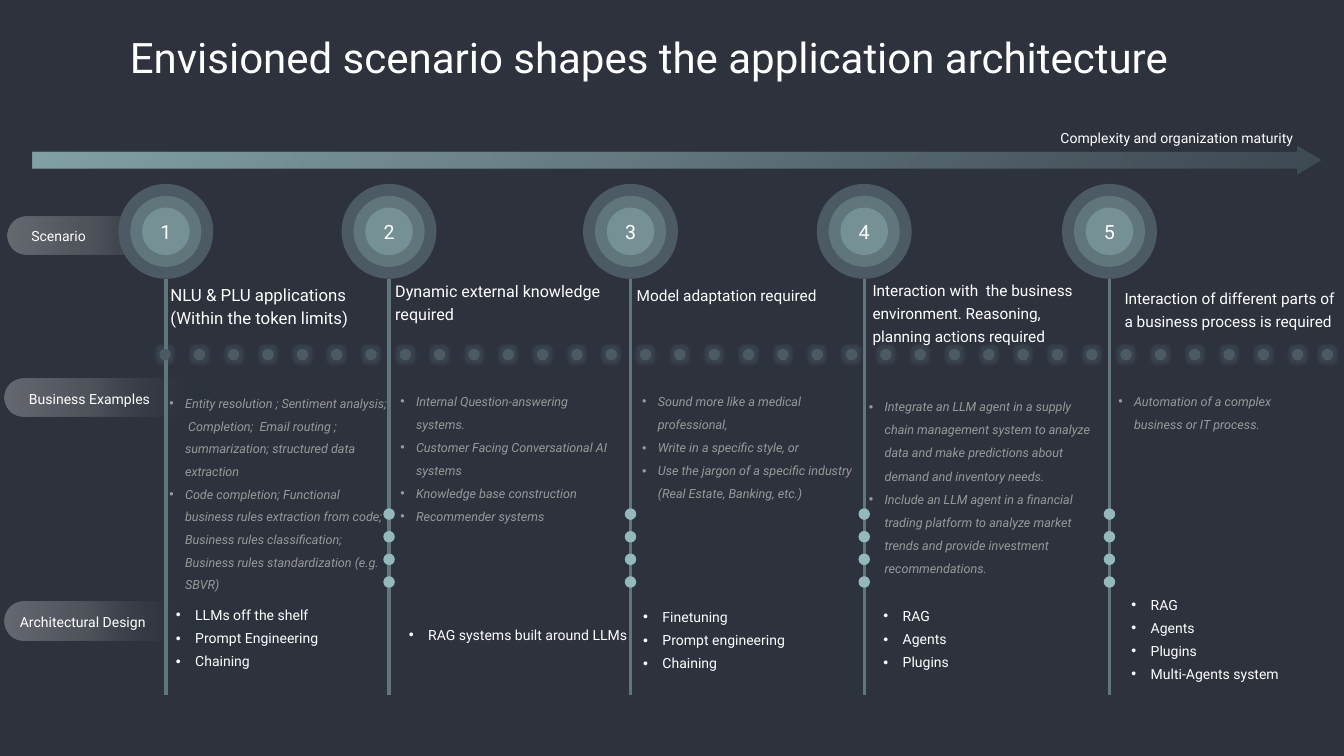
from lxml import etree
from pptx import Presentation
from pptx.dml.color import RGBColor as RGB
from pptx.enum.shapes import MSO_CONNECTOR, MSO_SHAPE as SHAPE
from pptx.enum.text import MSO_ANCHOR, PP_ALIGN
from pptx.oxml import parse_xml
from pptx.oxml.ns import nsdecls, qn
from pptx.util import Cm, Pt

COLORS = {
    "background": "2D323D", "white": "FFFFFF", "grey": "999999", "silver": "E2E2E2",
    "ring": "4C5B63", "stem": "60767B", "core": "759195", "bead": "94B9BA", "steel": "708A8F",
}
FONT = "Roboto"
# Gradient stops: position %, colour, opacity %
PILL_STOPS = [(0, "silver", 31), (44, "grey", 29), (94, "background", 5)]
ARROW_STOPS = [(0, "bead", 83), (47, "steel", 81), (100, "ring", 57)]

# Row label: pill left, top, width; text left, top, width
ROWS = [
    ("Architectural Design", (0.25, 30.33, 9.98), (0.84, 30.45, 7.32)),
    ("Business Examples", (0.25, 19.08, 10.39), (1.3, 19.23, 7.04)),
    ("Scenario", (0.38, 10.9, 10.26), (1.42, 11.02, 5)),
]
# Each scenario: stem centre, then heading, examples and design as (box, lines)
SCENARIOS = [
    dict(x=8.36, size=24,
         heading=((8.43, 14.05, 12.37, 2.64),
                  ["NLU & PLU applications", "(Within the token limits)"]),
         examples=((8.38, 19.38, 11.33, 10.67), [
             "Entity resolution ; Sentiment analysis;  Completion;  Email routing ; "
             "summarization; structured data extraction",
             "Code completion; Functional business rules extraction from code; Business rules "
             "classification; Business rules standardization (e.g. SBVR)"]),
         design=((8.71, 30.1, 11.58, 3.81),
                 ["LLMs off the shelf", "Prompt Engineering", "Chaining"])),
    dict(x=19.61, size=23,
         heading=((19.76, 13.84, 12.57, 2.64), ["Dynamic external knowledge required"]),
         examples=((20.02, 19.25, 11.28, 7.34), [
             "Internal Question-answering systems.", "Customer Facing Conversational AI systems",
             "Knowledge base construction", "Recommender systems"]),
         design=((20.45, 31.09, 11.58, 1.47), ["RAG systems built around LLMs"])),
    dict(x=31.78, size=22,
         heading=((31.93, 14.05, 12.17, 1.47), ["Model adaptation required"]),
         examples=((32.21, 19.28, 11.28, 6.17), [
             "Sound more like a medical professional,", "Write in a specific style, or",
             "Use the jargon of a specific industry (Real Estate, Banking, etc.)"]),
         design=((32.26, 30.2, 11.58, 3.81), ["Finetuning", "Prompt engineering", "Chaining"])),
    dict(x=43.56, size=22,
         heading=((43.82, 13.77, 11.76, 3.81), [
             "Interaction with  the business environment. Reasoning, planning actions required"]),
         examples=((43.64, 19.53, 11.99, 9.68), [
             "Integrate an LLM agent in a supply chain management system to analyze data and make "
             "predictions about demand and inventory needs.",
             "Include an LLM agent in a financial trading platform to analyze market trends and "
             "provide investment recommendations."]),
         design=((44.37, 30.15, 11.58, 3.81), ["RAG", "Agents", "Plugins"])),
    dict(x=55.92, size=22,
         heading=((56.52, 14.17, 10.95, 2.64),
                  ["Interaction of different parts of a business process is required"]),
         examples=((56.21, 19.28, 10.49, 2.64),
                   ["Automation of a complex business or IT process."]),
         design=((56.87, 29.57, 7.98, 4.98),
                 ["RAG", "Agents", "Plugins", "Multi-Agents system"])),
]
RING_Y = 11.66
RINGS = [(4.78, "ring"), (3.58, "stem"), (2.39, "core")]
DOT = 0.58


def rgb(name):
    return RGB.from_string(COLORS[name])


class Deck:
    """Holds the text style and the slide being drawn; boxes are (left, top, width, height) in cm."""

    def __init__(self, slide, font=FONT):
        self.slide, self.shapes, self.font = slide, slide.shapes, font

    def shape(self, kind, box, color=None, adjustments=()):
        shape = self.shapes.add_shape(kind, *map(Cm, box))
        shape.shadow.inherit = False
        shape.line.fill.background()
        for index, value in enumerate(adjustments):
            shape.adjustments[index] = value
        if color:
            shape.fill.solid()
            shape.fill.fore_color.rgb = rgb(color)
        return shape

    def gradient(self, kind, box, adjustments, stops, angle=0):
        shape = self.shape(kind, box, adjustments=adjustments)
        stop_xml = "".join(
            f'<a:gs pos="{pos * 1000}"><a:srgbClr val="{COLORS[color]}">'
            f'<a:alpha val="{alpha * 1000}"/></a:srgbClr></a:gs>' for pos, color, alpha in stops)
        shape._element.spPr.find(qn("a:prstGeom")).addnext(parse_xml(
            f'<a:gradFill {nsdecls("a")} rotWithShape="1"><a:gsLst>{stop_xml}</a:gsLst>'
            f'<a:lin ang="{angle * 60000}" scaled="0"/></a:gradFill>'))

    def disc(self, x, y, diameter, color):
        """Circle given by its centre."""
        return self.shape(SHAPE.OVAL, (x - diameter / 2, y - diameter / 2, diameter, diameter), color)

    def glow(self, shape):
        effects = shape._element.spPr.find(qn("a:effectLst"))
        effects.append(parse_xml(
            f'<a:glow {nsdecls("a")} rad="{Cm(0.35)}"><a:srgbClr val="{COLORS["stem"]}">'
            f'<a:alpha val="25000"/></a:srgbClr></a:glow>'))

    def stem(self, x, bottom, top):
        line = self.shapes.add_connector(MSO_CONNECTOR.STRAIGHT, Cm(x), Cm(bottom), Cm(x), Cm(top))
        line.line.color.rgb = rgb("stem")
        line.line.width = Pt(5)
        etree.SubElement(line._element.spPr, qn("a:effectLst"))

    def fill_text(self, frame, lines, size, color="white", italic=False, spacing=None,
                  align=None, indent=0, margin=0.16):
        """Fill a text frame with paragraphs, bulleted when an indent is given."""
        frame.word_wrap = True
        frame.vertical_anchor = MSO_ANCHOR.MIDDLE
        frame.margin_left = frame.margin_right = frame.margin_top = frame.margin_bottom = Cm(margin)
        frame.text = "\n".join(lines)
        for paragraph in frame.paragraphs:
            if indent:
                props = paragraph._p.get_or_add_pPr()
                props.set("marL", str(Cm(indent)))
                props.set("indent", str(-Cm(indent)))
                etree.SubElement(props, qn("a:buFont")).set("typeface", "Arial")
                etree.SubElement(props, qn("a:buChar")).set("char", "•")
            paragraph.alignment = align
            paragraph.line_spacing = spacing
            for run in paragraph.runs:
                run.font.name, run.font.size, run.font.italic = self.font, Pt(size), italic
                run.font.color.rgb = rgb(color)

    def text(self, box, lines, size, spacing=Pt(33), **style):
        frame = self.shapes.add_textbox(*map(Cm, box)).text_frame
        self.fill_text(frame, lines, size, spacing=spacing, **style)

    def badge(self, x, number):
        for diameter, color in RINGS:
            core = self.disc(x, RING_Y, diameter, color)
        self.fill_text(core.text_frame, [str(number)], 28, align=PP_ALIGN.CENTER, margin=0)


def main():
    prs = Presentation()
    prs.slide_width, prs.slide_height = Cm(67.74), Cm(38.1)
    slide = prs.slides.add_slide(prs.slide_layouts[6])
    slide.background.fill.solid()
    slide.background.fill.fore_color.rgb = rgb("background")
    deck = Deck(slide)

    for _, pill, _ in ROWS:
        deck.gradient(SHAPE.ROUNDED_RECTANGLE, (*pill, 1.93), [0.5], PILL_STOPS)
    for scenario in SCENARIOS:
        deck.stem(scenario["x"], 35.03, 14.04)
    for number, scenario in enumerate(SCENARIOS, 1):
        deck.badge(scenario["x"], number)
    for step in range(35):
        deck.glow(deck.disc(min(8.32 + 1.73 * step, 66.91), 17.87, DOT, "ring"))
    for scenario in SCENARIOS[1:]:
        for step in range(4):
            deck.disc(scenario["x"], 25.91 + 1.14 * step, DOT, "bead")

    deck.text((0.46, 1.73, 64.52, 2.54), ["Envisioned scenario shapes the application architecture"],
              60, spacing=Pt(63), align=PP_ALIGN.CENTER)
    for label, _, place in ROWS:
        deck.text((*place, 1.47), [label], 20)
    for number, scenario in enumerate(SCENARIOS, 1):
        deck.text(*scenario["heading"], scenario["size"])
        deck.text(*scenario["examples"], 18, spacing=1.5 if number == 1 else Pt(33),
                  color="grey", italic=True, indent=0.79)
        deck.text(*scenario["design"], 20, indent=0.97)

    deck.gradient(SHAPE.RIGHT_ARROW, (1.63, 7.32, 65, 1.47), [0.58, 0.87], ARROW_STOPS, angle=41)
    deck.text((53.29, 6.05, 15.16, 1.47), ["Complexity and organization maturity"], 20)
    prs.save("out.pptx")


if __name__ == "__main__":
    main()
